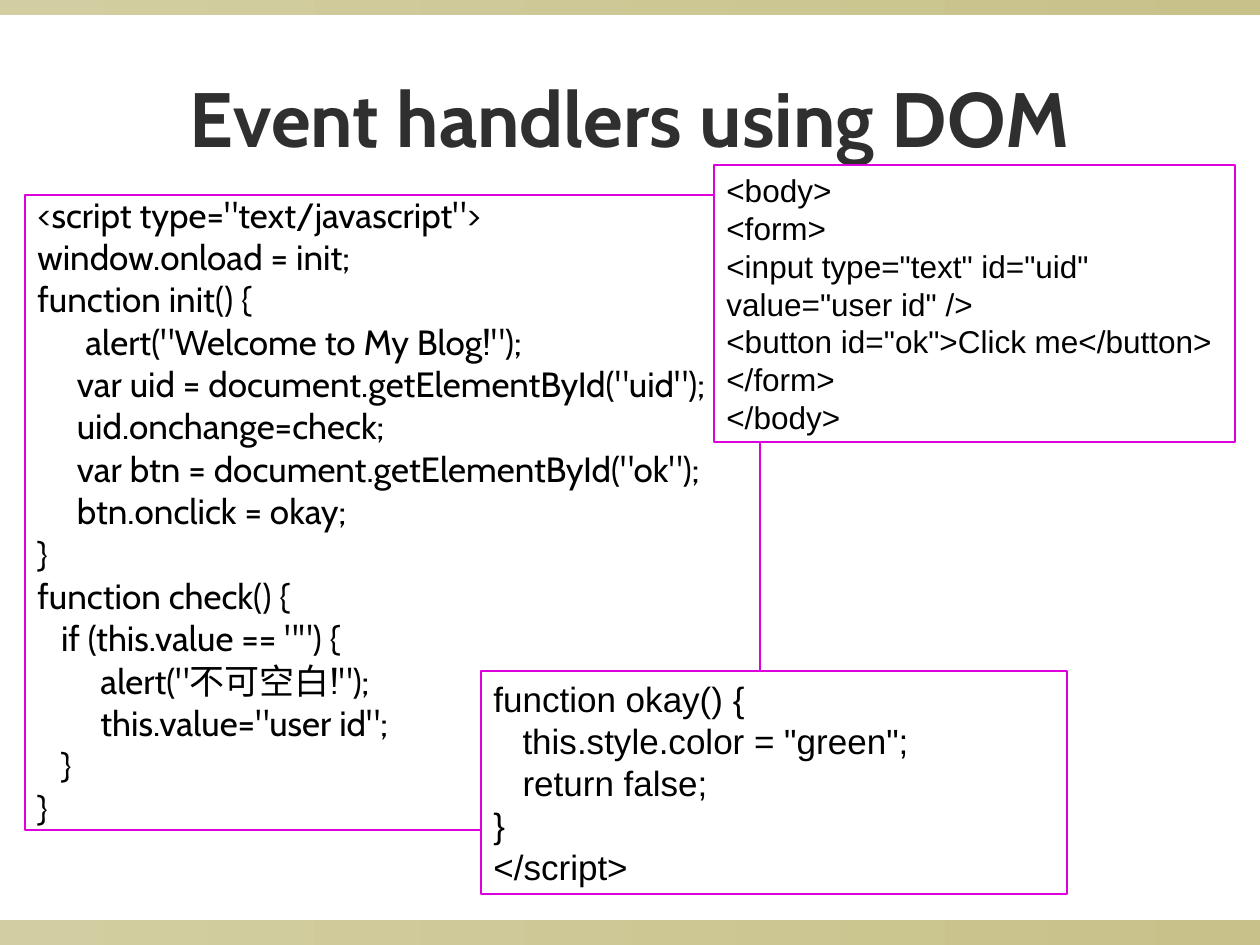
from dataclasses import dataclass

from pptx import Presentation
from pptx.dml.color import RGBColor
from pptx.enum.shapes import MSO_SHAPE as Shape
from pptx.enum.text import MSO_ANCHOR as Anchor, PP_ALIGN as Align
from pptx.util import Emu, Pt

PX = 914400 / 126
WIDTH, HEIGHT = 1260, 945
BAND_COLORS = ("D3CEA1", "C8C18A")
BORDER = "DD00DD"

SCRIPT = """<script type="text/javascript">
window.onload = init;
function init() {
\talert("Welcome to My Blog!");
     var uid = document.getElementById("uid");
     uid.onchange=check;
     var btn = document.getElementById("ok");
     btn.onclick = okay;
}
function check() {
   if (this.value == "") {
        alert("不可空白!");
        this.value="user id";
   }
}"""
BODY = """<body>
<form>
<input type="text" id="uid" value="user id" />
<button id="ok">Click me</button>
</form>
</body>"""
OKAY = """function okay() {
   this.style.color = "green";
   return false;
}
</script>"""


@dataclass
class CodeBox:
    left: int
    top: int
    width: int
    height: int
    code: str
    size: int
    font: str
    line_spacing: float = 1.0
    gap: int = 0
    hanging: int = 0


CODE_BOXES = [
    CodeBox(25, 195, 735, 635, SCRIPT, 20, "Cabin", line_spacing=0.8, gap=5, hanging=48),
    CodeBox(714, 165, 521, 277, BODY, 18, "Arial"),
    CodeBox(481, 671, 586, 223, OKAY, 20, "Arial"),
]


def px(value: int) -> Emu:
    return Emu(round(value * PX))


def color(value: str) -> RGBColor:
    return RGBColor.from_string(value)


def write(frame, text: str, *, size: int, font: str, fill: str, bold=False,
          align=Align.LEFT, anchor=Anchor.TOP, line_spacing=1.0, gap=0, hanging=0) -> None:
    """Fill a text frame, one paragraph for each line of text."""
    frame.word_wrap = True
    frame.vertical_anchor = anchor
    for index, line in enumerate(text.split("\n")):
        paragraph = frame.add_paragraph() if index else frame.paragraphs[0]
        paragraph.alignment = align
        paragraph.line_spacing = line_spacing
        paragraph.space_before = Pt(gap if index else 0)
        if hanging:
            properties = paragraph._p.get_or_add_pPr()
            properties.set("marL", str(px(hanging)))
            properties.set("indent", str(-px(hanging)))
        run = paragraph.add_run()
        run.text = line
        run.font.size = Pt(size)
        run.font.name = font
        run.font.bold = bold
        run.font.color.rgb = color(fill)


def add_rectangle(slide, left: int, top: int, width: int, height: int):
    shape = slide.shapes.add_shape(Shape.RECTANGLE, px(left), px(top), px(width), px(height))
    shape.shadow.inherit = False
    return shape


def add_band(slide, top: int, height: int) -> None:
    band = add_rectangle(slide, 0, top, WIDTH, height)
    band.line.fill.background()
    band.fill.gradient()
    band.fill.gradient_angle = 0
    for stop, value in zip(band.fill.gradient_stops, BAND_COLORS):
        stop.color.rgb = color(value)


def add_code_box(slide, box: CodeBox) -> None:
    shape = add_rectangle(slide, box.left, box.top, box.width, box.height)
    shape.fill.solid()
    shape.fill.fore_color.rgb = color("FFFFFF")
    shape.line.color.rgb = color(BORDER)
    shape.line.width = Pt(0.75)
    write(shape.text_frame, box.code, size=box.size, font=box.font, fill="000000",
          line_spacing=box.line_spacing, gap=box.gap, hanging=box.hanging)


def main() -> None:
    presentation = Presentation()
    presentation.slide_width, presentation.slide_height = px(WIDTH), px(HEIGHT)
    slide = presentation.slides.add_slide(presentation.slide_layouts[5])

    # Bands along the top and bottom edges
    add_band(slide, 0, 15)
    add_band(slide, 920, 25)

    # Title
    title = slide.shapes.title
    title.left, title.top, title.width, title.height = map(px, (63, 38, 1134, 158))
    write(title.text_frame, "Event handlers using DOM", size=44, font="Cabin",
          fill="2F2F2F", bold=True, align=Align.CENTER, anchor=Anchor.MIDDLE)

    # Overlapping code listings, back to front
    for box in CODE_BOXES:
        add_code_box(slide, box)

    presentation.save("out.pptx")


if __name__ == "__main__":
    main()
